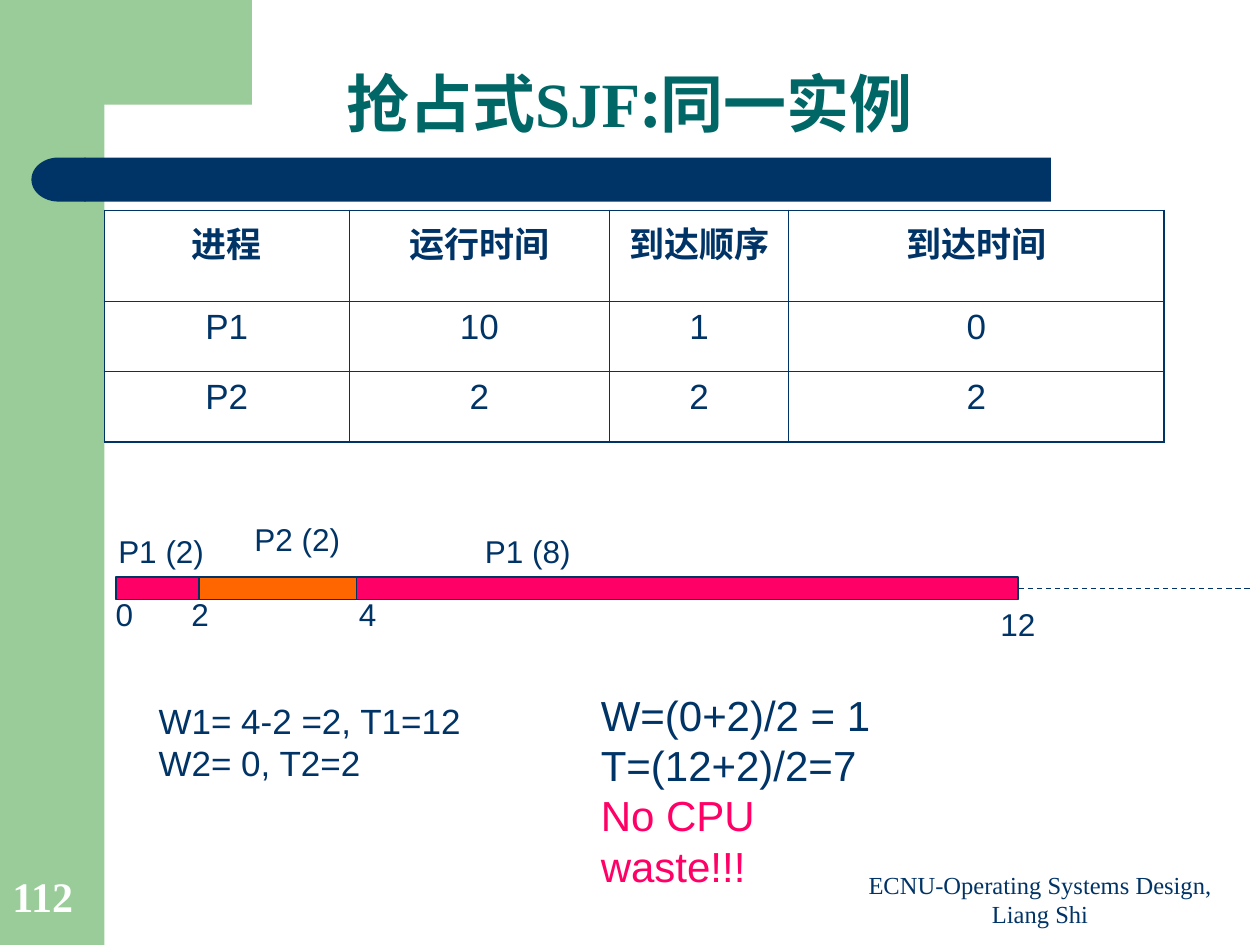
"""Build a slide on preemptive SJF scheduling with a process table and a timeline."""
from itertools import pairwise

from lxml import etree
from pptx import Presentation
from pptx.dml.color import RGBColor
from pptx.enum.dml import MSO_LINE
from pptx.enum.shapes import MSO_CONNECTOR, MSO_SHAPE
from pptx.enum.text import MSO_ANCHOR, MSO_AUTO_SIZE, PP_ALIGN
from pptx.oxml.ns import qn
from pptx.util import Inches, Pt

RECTANGLE, DELAY = MSO_SHAPE.RECTANGLE, MSO_SHAPE.FLOWCHART_DELAY
STRAIGHT, DASH = MSO_CONNECTOR.STRAIGHT, MSO_LINE.DASH
LEFT, CENTER = PP_ALIGN.LEFT, PP_ALIGN.CENTER
TOP, BOTTOM = MSO_ANCHOR.TOP, MSO_ANCHOR.BOTTOM
GROW, FIXED = MSO_AUTO_SIZE.SHAPE_TO_FIT_TEXT, MSO_AUTO_SIZE.NONE

NAVY, GREEN, TEAL = "003366", "99CC99", "006666"
PINK, ORANGE, WHITE = "FF0066", "FF6600", "FFFFFF"
ARIAL, TIMES, CJK = "Arial", "Times New Roman", "Noto Sans CJK SC"

TITLE = [("抢占式", ARIAL), ("SJF", TIMES), (":同一实例", CJK)]
PROCESSES = [
    ("进程", "运行时间", "到达顺序", "到达时间"),
    ("P1", "10", "1", "0"),
    ("P2", "2", "2", "2"),
]
TABLE_LEFT, TABLE_TOP = 0.83, 1.67
COLUMN_WIDTHS = (1.94, 2.07, 1.42, 2.98)
ROW_HEIGHTS = (0.72, 0.56, 0.56)

BAR_EDGES = (0.92, 1.58, 2.83, 8.08)
BAR_FILLS = (PINK, ORANGE, PINK)
BAR_TOP, BAR_HEIGHT, TIMELINE_END = 4.58, 0.18, 9.92
LABEL_HEIGHT = 0.4
TIMELINE_LABELS = [
    ("P1 (2)", 0.84, 4.17, 0.88, False),
    ("P2 (2)", 1.92, 4.08, 0.88, False),
    ("P1 (8)", 3.75, 4.17, 0.88, False),
    ("0", 0.82, 4.67, 0.34, True),
    ("2", 1.42, 4.67, 0.5, True),
    ("4", 2.75, 4.67, 0.34, True),
    ("12", 7.84, 4.75, 0.48, False),
]
WAITING = ["W1= 4-2 =2, T1=12", "W2= 0, T2=2"]
AVERAGES = ["W=(0+2)/2 = 1", "T=(12+2)/2=7", "No CPU waste!!!"]
FOOTER = "ECNU-Operating Systems Design, Liang Shi"
PAGE_NUMBER = "112"
CORNER = [
    (2, 0), (2, 0.83), (0.81, 0.83), (0.77, 0.85), (0.71, 0.92),
    (0.68, 1.04), (0.67, 1.16), (0.67, 1.28), (0.5, 1.28), (0.5, 0),
]


def color(value):
    return RGBColor.from_string(value)


def apply(target, values):
    for name, value in values.items():
        setattr(target, name, value)


def add_span(para, text, size, font=ARIAL, fill=NAVY, bold=False):
    span = para.add_run()
    span.text = text
    apply(span.font, {"size": Pt(size), "name": font, "bold": bold})
    span.font.color.rgb = color(fill)
    etree.SubElement(span.font._element, qn("a:ea"), typeface=CJK)


def add_box(page, place, lines, align=LEFT, spacing=None, **frame_format):
    box = page.shapes.add_textbox(*map(Inches, place))
    frame = box.text_frame
    apply(frame, {"word_wrap": True, "auto_size": FIXED, "vertical_anchor": TOP} | frame_format)
    for index, spans in enumerate(lines):
        para = frame.add_paragraph() if index else frame.paragraphs[0]
        apply(para, {"alignment": align, "line_spacing": spacing})
        for span in spans:
            add_span(para, **span)


def paint(shape, fill, outline=None):
    shape.shadow.inherit = False
    shape.fill.solid()
    shape.fill.fore_color.rgb = color(fill)
    if outline:
        shape.line.color.rgb = color(outline)
        shape.line.width = Pt(0.75)
    else:
        shape.line.fill.background()
    return shape


def add_block(page, place, fill, outline=None, kind=RECTANGLE):
    return paint(page.shapes.add_shape(kind, *map(Inches, place)), fill, outline)


def add_line(page, *ends):
    line = page.shapes.add_connector(STRAIGHT, *map(Inches, ends))
    line.line.color.rgb = color(NAVY)
    line.line.width = Pt(0.75)
    etree.SubElement(line.element.spPr, qn("a:effectLst"))
    return line


def add_borders(cell, outer_sides):
    properties = cell._tc.get_or_add_tcPr()
    for side in "LRTB":
        width = Pt(1.08 if side in outer_sides else 0.45)
        border = etree.SubElement(properties, qn(f"a:ln{side}"), w=str(width))
        fill = etree.SubElement(border, qn("a:solidFill"))
        etree.SubElement(fill, qn("a:srgbClr"), val=NAVY)


def add_decoration(page):
    add_block(page, (0, 0, 0.83, 7.5), GREEN)
    points = [(Inches(x), Inches(y)) for x, y in CORNER]
    builder = page.shapes.build_freeform(*points[0])
    builder.add_line_segments(points[1:])
    paint(builder.convert_to_shape(), GREEN)
    add_block(page, (0.67, 1.25, 7.67, 0.35), NAVY)
    cap = add_block(page, (0.25, 1.25, 0.43, 0.35), NAVY, kind=DELAY)
    cap.element.spPr.xfrm.set("flipH", "1")


def add_process_table(page):
    rows, columns = len(ROW_HEIGHTS), len(COLUMN_WIDTHS)
    place = (TABLE_LEFT, TABLE_TOP, sum(COLUMN_WIDTHS), sum(ROW_HEIGHTS))
    table = page.shapes.add_table(rows, columns, *map(Inches, place)).table
    apply(table, {"first_row": False, "horz_banding": False})
    for column, width in zip(table.columns, COLUMN_WIDTHS):
        column.width = Inches(width)
    for row, height in zip(table.rows, ROW_HEIGHTS):
        row.height = Inches(height)
    for r, texts in enumerate(PROCESSES):
        for c, text in enumerate(texts):
            cell = table.cell(r, c)
            edges = {"L": c == 0, "R": c == columns - 1, "T": r == 0, "B": r == rows - 1}
            add_borders(cell, [side for side, outer in edges.items() if outer])
            cell.fill.background()
            para = cell.text_frame.paragraphs[0]
            para.alignment = CENTER
            add_span(para, text, 20, bold=r == 0)


def add_timeline(page):
    middle = BAR_TOP + BAR_HEIGHT / 2
    axis = add_line(page, BAR_EDGES[0], middle, TIMELINE_END, middle)
    axis.line.dash_style = DASH
    bars = [
        add_block(page, (left, BAR_TOP, right - left, BAR_HEIGHT), fill, NAVY)
        for (left, right), fill in zip(pairwise(BAR_EDGES), BAR_FILLS)
    ]
    axis.begin_connect(bars[0], 1)
    add_line(page, BAR_EDGES[1], BAR_TOP, BAR_EDGES[1], BAR_TOP + BAR_HEIGHT)
    for text, left, top, width, wrap in TIMELINE_LABELS:
        add_box(page, (left, top, width, LABEL_HEIGHT), [[{"text": text, "size": 18}]],
                word_wrap=wrap, auto_size=GROW)


def main():
    deck = Presentation()
    apply(deck, {"slide_width": Inches(10), "slide_height": Inches(7.5)})
    page = deck.slides.add_slide(deck.slide_layouts[6])
    add_decoration(page)
    title = [{"text": text, "size": 36, "font": font, "fill": TEAL, "bold": True}
             for text, font in TITLE]
    add_box(page, (0.05, 0.39, 9.89, 0.73), [title], CENTER, 0.9, vertical_anchor=BOTTOM,
            margin_left=0, margin_right=0, margin_top=0, margin_bottom=0)
    add_process_table(page)
    waiting = [[{"text": text, "size": 20}] for text in WAITING]
    add_box(page, (1.16, 5.5, 2.68, 0.77), waiting, word_wrap=False, auto_size=GROW)
    averages = [[{"text": text, "size": 24, "fill": fill}]
                for text, fill in zip(AVERAGES, (NAVY, NAVY, PINK))]
    add_box(page, (4.67, 5.42, 2.66, 1.3), averages, word_wrap=False, auto_size=GROW)
    add_timeline(page)
    footer = {"text": FOOTER, "size": 14, "font": TIMES}
    add_box(page, (6.67, 6.9, 3.17, 0.52), [[footer]], CENTER, vertical_anchor=BOTTOM)
    number = {"text": PAGE_NUMBER, "size": 24, "font": TIMES, "fill": WHITE, "bold": True}
    add_box(page, (0, 6.83, 0.82, 0.53), [[number]], spacing=0.9, vertical_anchor=BOTTOM)
    deck.save("out.pptx")


if __name__ == "__main__":
    main()
